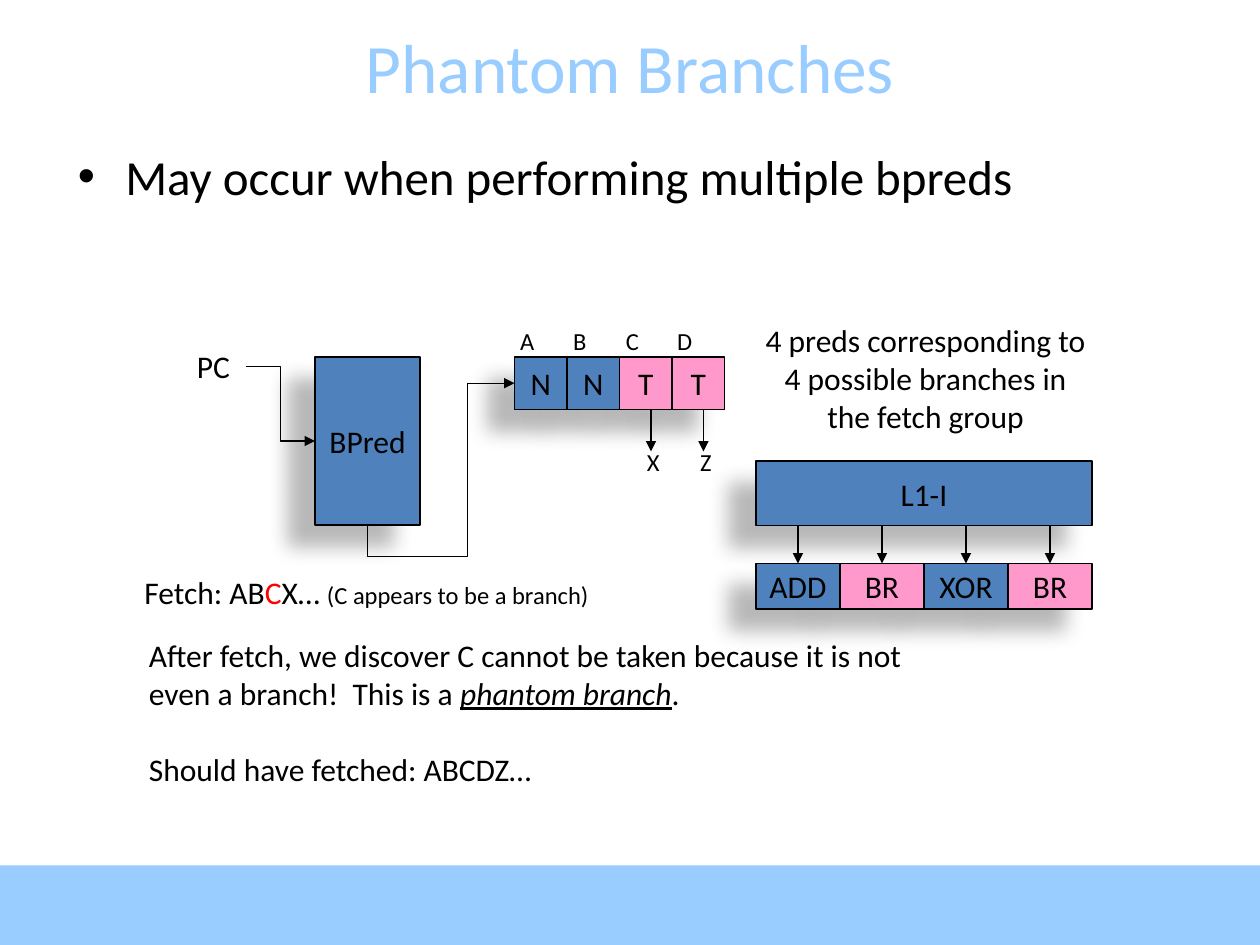
from lxml import etree
from pptx import Presentation
from pptx import util as u
from pptx.dml.color import RGBColor
from pptx.enum import shapes, text
from pptx.oxml import ns

BLACK = RGBColor(0, 0, 0)
RED = RGBColor(0xFF, 0, 0)
BLUE = RGBColor(0x4F, 0x81, 0xBD)
PINK = RGBColor(0xFF, 0x99, 0xCC)
SKY = RGBColor(0x99, 0xCC, 0xFF)
CENTER, LEFT = text.PP_ALIGN.CENTER, text.PP_ALIGN.LEFT

TITLE = "Phantom Branches"
BULLET = "May occur when performing multiple bpreds"
PREDICTIONS = [("A", "N", BLUE), ("B", "N", BLUE), ("C", "T", PINK), ("D", "T", PINK)]
TARGETS = ["X", "Z"]
INSTRUCTIONS = [("ADD", BLUE), ("BR", PINK), ("XOR", BLUE), ("BR", PINK)]
PREDICTION_NOTE = [
    [("4 preds corresponding to", {})],
    [("4 possible branches in", {})],
    [("the fetch group", {})],
]
FETCH = [[
    ("Fetch: AB", {}), ("C", {"color": RED}), ("X… ", {}),
    ("(C appears to be a branch)", {"size": 14}),
]]
EXPLANATION = [
    [("After fetch, we discover C cannot be taken because it is not", {})],
    [("even a branch!  This is a ", {}),
     ("phantom branch", {"italic": True, "underline": True}), (".", {})],
    [("Should have fetched: ABCDZ…", {})],
]

PREDICTION_LEFT, PREDICTION_TOP, PREDICTION_SIZE = 294, 204, 30
CACHE_LEFT, CACHE_TOP, CACHE_WIDTH, CACHE_HEIGHT = 432, 263.5, 192, 37
INSTRUCTION_TOP, INSTRUCTION_HEIGHT = 322, 26

presentation = Presentation()
presentation.slide_width, presentation.slide_height = u.Pt(720), u.Pt(540)
slide = presentation.slides.add_slide(presentation.slide_layouts[5])


def points(*lengths):
    return [u.Pt(length) for length in lengths]


def add_xml(parent, tag, **attributes):
    return etree.SubElement(parent, ns.qn(tag), attributes)


def write(frame, paragraphs, size=18, align=CENTER, color=BLACK):
    for index, runs in enumerate(paragraphs):
        paragraph = frame.paragraphs[0] if index == 0 else frame.add_paragraph()
        paragraph.alignment = align
        for words, changes in runs:
            run = paragraph.add_run()
            run.text = words
            formats = {"name": "Calibri", "size": size, "color": color, **changes}
            run.font.color.rgb = formats.pop("color")
            formats["size"] = u.Pt(formats["size"])
            for name, value in formats.items():
                setattr(run.font, name, value)


def add_text(place, paragraphs, size=18, align=CENTER, wrap=False):
    frame = slide.shapes.add_textbox(*points(*place)).text_frame
    frame.word_wrap = wrap
    write(frame, paragraphs, size, align)
    return frame


def add_box(place, label, fill):
    shape = slide.shapes.add_shape(shapes.MSO_SHAPE.RECTANGLE, *points(*place))
    shape.fill.solid()
    shape.fill.fore_color.rgb = fill
    shape.line.color.rgb = BLACK
    shape.line.width = u.Pt(0.75)
    shape.shadow.inherit = False
    effects = shape.element.spPr.find(ns.qn("a:effectLst"))
    shadow = add_xml(effects, "a:outerShdw", blurRad=str(u.Pt(11.8)),
                     dist=str(u.Pt(19.7)), dir=str(141 * 60000), rotWithShape="0")
    add_xml(add_xml(shadow, "a:srgbClr", val="000000"), "a:alpha", val="28000")
    shape.text_frame.word_wrap = False
    shape.text_frame.vertical_anchor = text.MSO_ANCHOR.MIDDLE
    write(shape.text_frame, [[(label, {})]])
    return shape


def add_arrow(start, end, kind=shapes.MSO_CONNECTOR.STRAIGHT):
    arrow = slide.shapes.add_connector(kind, *points(*start, *end))
    arrow.line.color.rgb = BLACK
    arrow.line.width = u.Pt(0.75)
    properties = arrow.element.spPr
    add_xml(properties.find(ns.qn("a:ln")), "a:tailEnd", type="triangle")
    add_xml(properties, "a:effectLst")
    return arrow


bar = slide.shapes.add_shape(shapes.MSO_SHAPE.RECTANGLE, *points(0, 494.5, 720, 45.5))
bar.fill.solid()
bar.fill.fore_color.rgb = SKY
bar.line.fill.background()
bar.shadow.inherit = False

title = slide.shapes.title
title.left, title.top, title.width, title.height = points(0, 15, 720, 45)
title.text_frame.vertical_anchor = text.MSO_ANCHOR.MIDDLE
write(title.text_frame, [[(TITLE, {})]], 39.6, CENTER, SKY)

body = add_text((37.5, 80, 648, 400), [[(BULLET, {})]], 28, LEFT, True)
bullet = body.paragraphs[0]._p.get_or_add_pPr()
bullet.set("marL", str(u.Pt(27)))
bullet.set("indent", str(u.Pt(-27)))
add_xml(bullet, "a:buFont", typeface="Arial")
add_xml(bullet, "a:buChar", char="•")

add_text((103.5, 195, 37, 29), [[("PC", {})]])
predictor = add_box((180, 204, 60, 96), "BPred", BLUE)
pc_arrow = add_arrow((140.4, 209.5), (180, 252), shapes.MSO_CONNECTOR.ELBOW)
pc_arrow.end_connect(predictor, 1)

for index, (branch, label, fill) in reversed(list(enumerate(PREDICTIONS))):
    left = PREDICTION_LEFT + index * PREDICTION_SIZE
    prediction = add_box((left, PREDICTION_TOP, PREDICTION_SIZE, PREDICTION_SIZE), label, fill)
    add_text((left - 4.7, 183, 24, 24), [[(branch, {})]], 14)

for index, target in enumerate(TARGETS):
    x = 372 + index * PREDICTION_SIZE
    add_arrow((x, PREDICTION_TOP + PREDICTION_SIZE), (x, 258))
    add_text((x - 10.7, 252, 24, 24), [[(target, {})]], 14)

result_arrow = add_arrow((210, 300), (294, 219), shapes.MSO_CONNECTOR.ELBOW)
result_arrow.begin_connect(predictor, 0 + 2)
result_arrow.end_connect(prediction, 1)
result_arrow.left, result_arrow.top, result_arrow.width, result_arrow.height = points(
    211.5, 217.5, 81, 84)
transform = result_arrow.element.spPr.find(ns.qn("a:xfrm"))
for name, value in {"rot": "5400000", "flipH": "1", "flipV": "1"}.items():
    transform.set(name, value)
geometry = result_arrow.element.spPr.find(ns.qn("a:prstGeom"))
geometry.set("prst", "bentConnector4")
adjustments = geometry.find(ns.qn("a:avLst"))
for name, value in {"adj1": -22200, "adj2": 67900}.items():
    add_xml(adjustments, "a:gd", name=name, fmla=f"val {value}")

add_text((428.4, 180, 201, 73), PREDICTION_NOTE)
add_box((CACHE_LEFT, CACHE_TOP, CACHE_WIDTH, CACHE_HEIGHT), "L1-I", BLUE)
step = CACHE_WIDTH / len(INSTRUCTIONS)
for index, (label, fill) in reversed(list(enumerate(INSTRUCTIONS))):
    left = CACHE_LEFT + index * step
    instruction = add_box((left, INSTRUCTION_TOP, step, INSTRUCTION_HEIGHT), label, fill)
    x = left + step / 2
    add_arrow((x, CACHE_TOP + CACHE_HEIGHT), (x, INSTRUCTION_TOP)).end_connect(instruction, 0)

add_text((75.5, 324, 285, 29), FETCH, align=LEFT)
explanation = add_text((78, 360, 454, 94), EXPLANATION, align=LEFT)
explanation.paragraphs[-1].space_before = u.Pt(22)

presentation.save("out.pptx")
